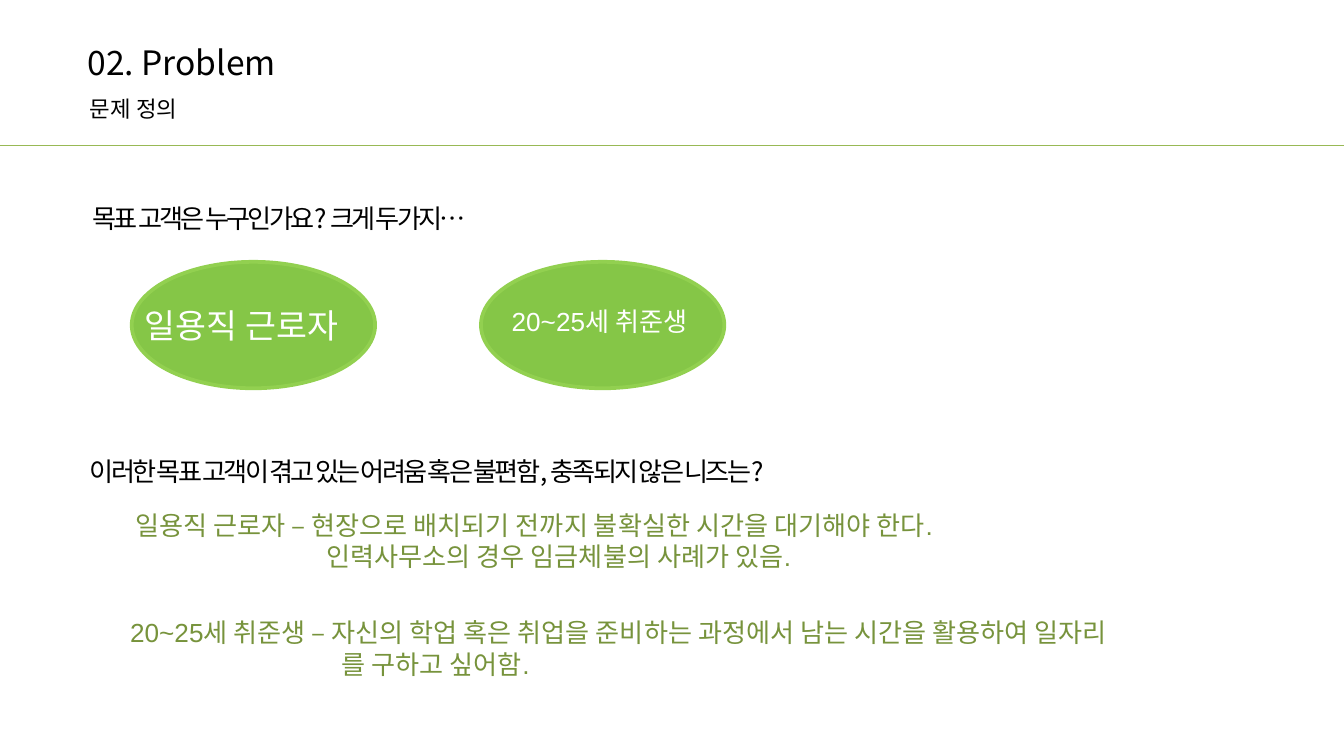
from lxml import etree
from pptx import Presentation
from pptx import util as u
from pptx.dml.color import RGBColor
from pptx.enum import shapes, text
from pptx.oxml.ns import qn

SANS, ARIAL = "Noto Sans CJK KR", "Arial"
BLACK, WHITE, OLIVE = "000000", "FFFFFF", "77933C"
GREEN, LIME, RULE = "85C647", "92D050", "98B955"

# Content: positions and sizes in cm
TITLE = ("02. Problem", (1.4, 0.66, 7.85, 1.02))
SUBTITLE = ("문제 정의", (1.45, 1.68, 8.46, 0.76))
QUESTIONS = [
    ("목표 고객은 누구인가요? 크게 두가지…", (1.5, 3.4, 22.94, 1.07)),
    ("이러한 목표 고객이 겪고 있는 어려움 혹은 불편함, 충족되지 않은 니즈는?",
     (1.45, 8.18, 22.58, 1.07)),
]
# label, size in points, left of oval, left and width of label
CUSTOMERS = [
    ("일용직 근로자", 18, 2.49, 2.49, 4.6),
    ("20~25세 취준생", 14, 9.09, 9.42, 4.24),
]
OVAL_TOP, OVAL_W, OVAL_H, LABEL_TOP = 4.95, 4.6, 2.39, 5.64
# first line, second line, its indent, place
NEEDS = [
    ("일용직 근로자 – 현장으로 배치되기 전까지 불확실한 시간을 대기해야 한다.",
     "인력사무소의 경우 임금체불의 사례가 있음.", 3.61, (2.31, 9.5, 21, 1.45)),
    ("20~25세 취준생 – 자신의 학업 혹은 취업을 준비하는 과정에서 남는 시간을 활용하여 일자리",
     "를 구하고 싶어함.", 4, (2.21, 11.53, 21, 1.45)),
]


def rgb(value):
    return RGBColor.from_string(value)


def cm(values):
    return [u.Cm(v) for v in values]


def write(sp, lines, size=14, font=SANS, color=BLACK, spacing=None, tracking=None, indents=()):
    """Fill a text shape with one paragraph per line."""
    tf = sp.text_frame
    tf.word_wrap = True
    tf.auto_size = text.MSO_AUTO_SIZE.NONE
    tf.vertical_anchor = text.MSO_ANCHOR.TOP
    for i, line in enumerate(lines):
        p = tf.add_paragraph() if i else tf.paragraphs[0]
        p.alignment = text.PP_ALIGN.LEFT
        if spacing:
            p.line_spacing = spacing
        if i < len(indents):
            p._p.get_or_add_pPr().set("marL", str(u.Cm(indents[i])))
        r = p.add_run()
        r.text = line
        r.font.size, r.font.name = u.Pt(size), font
        r.font.color.rgb = rgb(color)
        rPr = r._r.get_or_add_rPr()
        etree.SubElement(rPr, qn("a:ea")).set("typeface", SANS)
        if tracking:
            rPr.set("spc", str(int(tracking * 100)))


def add_text(s, place, lines, **fmt):
    write(s.shapes.add_textbox(*cm(place)), lines, **fmt)


def main():
    prs = Presentation()
    prs.slide_width, prs.slide_height = cm((25.4, 14.29))
    s = prs.slides.add_slide(prs.slide_layouts[5])

    # Heading
    title, place = TITLE
    sp = s.shapes.title
    sp.left, sp.top, sp.width, sp.height = cm(place)
    write(sp, [title], size=18)
    add_text(s, SUBTITLE[1], [SUBTITLE[0]], size=12)

    # Rule under the heading
    rule = s.shapes.add_connector(shapes.MSO_CONNECTOR.STRAIGHT, *cm((0, 2.75, 25.4, 2.75)))
    rule.line.color.rgb = rgb(RULE)
    rule.line.width = u.Pt(0.75)
    etree.SubElement(rule._element.spPr, qn("a:effectLst"))

    # Questions
    for question, place in QUESTIONS:
        add_text(s, place, [question], spacing=1.5, tracking=-1.5)

    # Target customers
    for label, size, left, label_left, label_w in CUSTOMERS:
        oval = s.shapes.add_shape(shapes.MSO_SHAPE.OVAL, *cm((left, OVAL_TOP, OVAL_W, OVAL_H)))
        oval.shadow.inherit = False
        oval.fill.solid()
        oval.fill.fore_color.rgb = rgb(GREEN)
        oval.line.color.rgb = rgb(LIME)
        oval.line.width = u.Pt(2)
        add_text(s, (label_left, LABEL_TOP, label_w, 1), [label],
                 size=size, font=ARIAL, color=WHITE)

    # Their needs
    for first, second, indent, place in NEEDS:
        add_text(s, place, [first, second], font=ARIAL, color=OLIVE, indents=(0, indent))

    prs.save("out.pptx")


if __name__ == "__main__":
    main()
